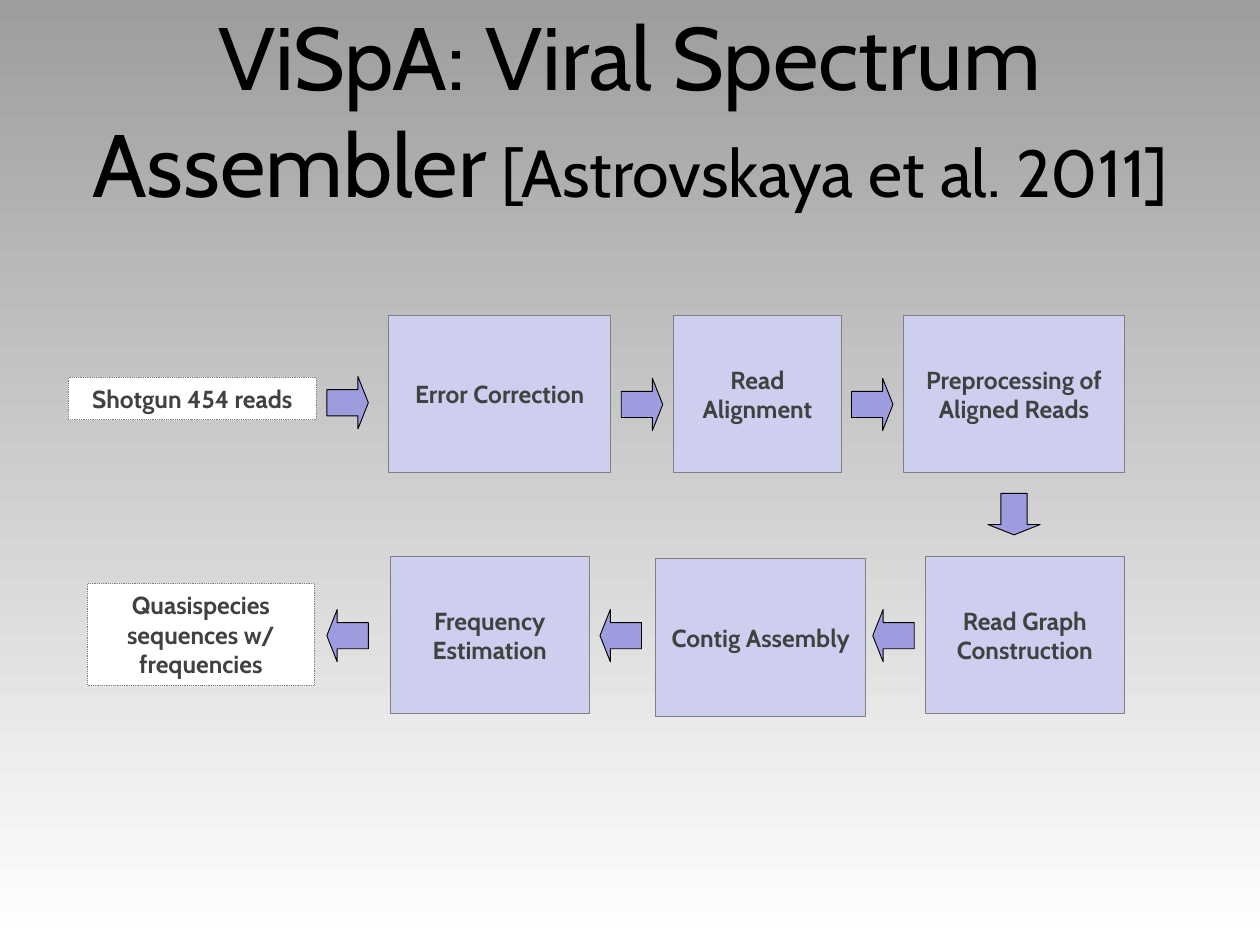
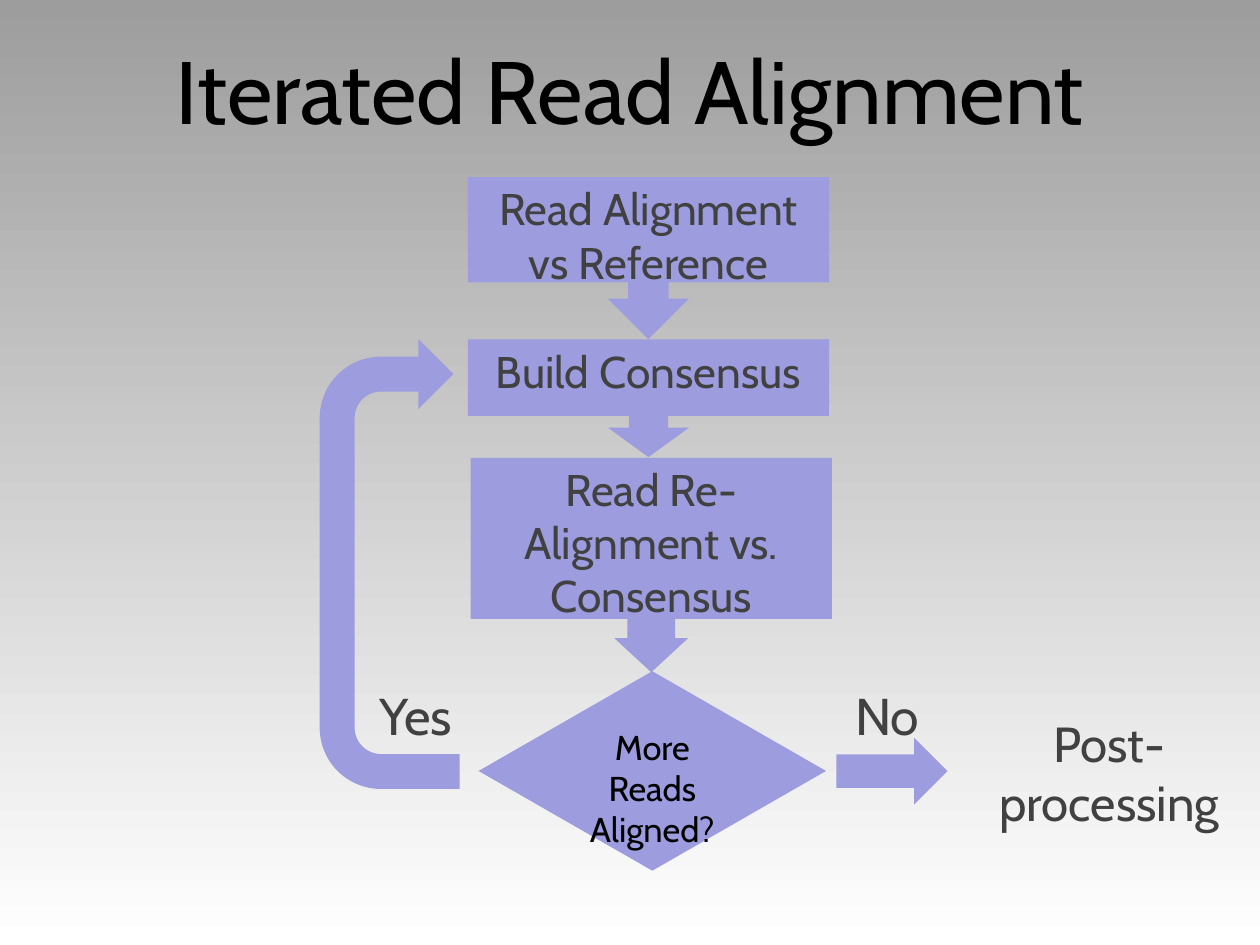
from dataclasses import dataclass

from pptx import Presentation
from pptx import util as u
from pptx.dml.color import RGBColor
from pptx.enum import dml, shapes, text

FONT = "Cabin"
COLORS = {
    "bg_top": "9D9D9D",
    "bg_bottom": "FFFFFF",
    "title": "000000",
    "text": "414141",
    "process": "CECEEF",
    "accent": "9C9CDF",
    "data": "FFFFFF",
    "border": "808080",
    "outline": "000000",
}
KIND = shapes.MSO_SHAPE
STEP_H = 4.52
ROW_1, ROW_2 = 9.04, 15.95
ARROW_LEN, ARROW_SPAN = 1.19, 1.5


@dataclass
class Box:
    """A filled shape; lengths in centimetres, text size in points."""
    left: float
    top: float
    width: float
    height: float
    text: str = ""
    kind: int = KIND.RECTANGLE
    fill: str = "accent"
    line: str = ""
    dotted: bool = False
    adj: tuple[float, ...] = ()
    rotation: float = 0
    size: float = 36
    color: str = "text"
    bold: bool = False
    middle: bool = False
    insets: tuple[float, float] = (0.25, 0.13)
    wrap: bool = True
    grow: bool = False


@dataclass
class Label:
    """Free text in a box that grows with it."""
    left: float
    top: float
    width: float
    height: float
    text: str
    size: float


def rgb(name: str) -> RGBColor:
    return RGBColor.from_string(COLORS[name])


def style(p, size: float, color: str, bold: bool = False) -> None:
    p.alignment = text.PP_ALIGN.CENTER
    p.font.name = FONT
    p.font.size = u.Pt(size)
    p.font.bold = bold
    p.font.color.rgb = rgb(color)


def set_insets(tf, side: float, end: float) -> None:
    tf.margin_left = tf.margin_right = u.Cm(side)
    tf.margin_top = tf.margin_bottom = u.Cm(end)


def set_background(prs) -> None:
    fill = prs.slide_master.background.fill
    fill.gradient()
    fill.gradient_angle = 270
    for stop, name, pos in zip(fill.gradient_stops, ("bg_top", "bg_bottom"), (0, 1)):
        stop.color.rgb = rgb(name)
        stop.position = pos


def add_slide(prs, title: str, frame: tuple[float, ...], citation: str = ""):
    s = prs.slides.add_slide(prs.slide_layouts[5])
    sp = s.shapes.title
    sp.left, sp.top, sp.width, sp.height = map(u.Cm, frame)
    tf = sp.text_frame
    tf.auto_size = text.MSO_AUTO_SIZE.NONE
    tf.vertical_anchor = text.MSO_ANCHOR.MIDDLE
    set_insets(tf, 0.15, 0.15)
    p = tf.paragraphs[0]
    p.add_run().text = title
    style(p, 72, "title")
    if citation:
        r = p.add_run()
        r.text = f" {citation}"
        r.font.size = u.Pt(54)
    return s


def add_box(s, b: Box) -> None:
    sp = s.shapes.add_shape(b.kind, *map(u.Cm, (b.left, b.top, b.width, b.height)))
    sp.shadow.inherit = False
    sp.rotation = b.rotation
    for i, value in enumerate(b.adj):
        sp.adjustments[i] = value
    sp.fill.solid()
    sp.fill.fore_color.rgb = rgb(b.fill)
    if b.line:
        sp.line.color.rgb = rgb(b.line)
        sp.line.width = u.Pt(0.75)
        if b.dotted:
            sp.line.dash_style = dml.MSO_LINE.ROUND_DOT
    else:
        sp.line.fill.background()
    if b.text:
        tf = sp.text_frame
        tf.text = b.text
        tf.word_wrap = b.wrap
        if b.grow:
            tf.auto_size = text.MSO_AUTO_SIZE.SHAPE_TO_FIT_TEXT
        tf.vertical_anchor = text.MSO_ANCHOR.MIDDLE if b.middle else text.MSO_ANCHOR.TOP
        set_insets(tf, *b.insets)
        style(tf.paragraphs[0], b.size, b.color, b.bold)


def add_label(s, label: Label) -> None:
    sp = s.shapes.add_textbox(
        *map(u.Cm, (label.left, label.top, label.width, label.height)))
    tf = sp.text_frame
    tf.text = label.text
    tf.word_wrap = False
    tf.auto_size = text.MSO_AUTO_SIZE.SHAPE_TO_FIT_TEXT
    for p in tf.paragraphs:
        style(p, label.size, "text")


def step(left: float, top: float, width: float, caption: str, wrap: bool = True) -> Box:
    return Box(left, top, width, STEP_H, caption, fill="process", line="border",
               size=20, bold=True, middle=True, insets=(0.36, 0.18), wrap=wrap)


def data(left: float, top: float, width: float, height: float, caption: str,
         wrap: bool = True) -> Box:
    return Box(left, top, width, height, caption, fill="data", line="border",
               dotted=True, size=20, bold=True, insets=(0.36, 0.18), wrap=wrap, grow=True)


def flow_arrow(left: float, top: float, kind: int) -> Box:
    w, h = ARROW_LEN, ARROW_SPAN
    if kind == KIND.DOWN_ARROW:
        w, h = h, w
    return Box(left, top, w, h, kind=kind, line="outline", adj=(0.5, 0.25))


def callout(left: float, top: float, height: float, caption: str,
            adj: tuple[float, ...] = ()) -> Box:
    return Box(left, top, 10.36, height, caption, KIND.DOWN_ARROW_CALLOUT, adj=adj)


# Pipeline: left to right on the first row, back on the second
PIPELINE = [
    step(11.15, ROW_1, 6.35, "Error Correction", wrap=False),
    step(19.3, ROW_1, 4.83, "Read Alignment"),
    step(25.91, ROW_1, 6.32, "Preprocessing of Aligned Reads"),
    step(26.52, ROW_2, 5.72, "Read Graph Construction"),
    step(18.8, 16.03, 6.02, "Contig Assembly", wrap=False),
    step(11.18, ROW_2, 5.72, "Frequency Estimation"),
    data(1.96, 10.82, 7.11, 1.22, "Shotgun 454 reads", wrap=False),
    data(2.51, 16.74, 6.5, 2.92, "Quasispecies sequences w/ frequencies"),
    flow_arrow(9.37, 10.8, KIND.RIGHT_ARROW),
    *(flow_arrow(x, 10.85, KIND.RIGHT_ARROW) for x in (17.81, 24.41)),
    flow_arrow(28.32, 14.15, KIND.DOWN_ARROW),
    *(flow_arrow(x, 17.48, KIND.LEFT_ARROW) for x in (25.02, 17.2, 9.37)),
]

# Iteration: callouts down to the decision, with a loop back
ITERATION = [
    callout(13.41, 5.08, 4.65, "Read Alignment vs Reference"),
    callout(13.41, 9.73, 3.38, "Build Consensus", (0.333, 0.344, 0.25, 0.65)),
    callout(13.49, 13.13, 6.15, "Read Re-Alignment vs. Consensus",
            (0.223, 0.172, 0.159, 0.751)),
    Box(13.72, 19.25, 9.96, 5.72, "More Reads Aligned?", KIND.FLOWCHART_DECISION,
        size=28, color="title"),
    Box(4.72, 14.17, 12.9, 4.01, kind=KIND.U_TURN_ARROW, rotation=270,
        adj=(0.25, 0.25, 0.25, 0.438, 0.956)),
    Box(23.98, 21.16, 3.18, 1.91, kind=KIND.RIGHT_ARROW),
]
OUTCOMES = [
    Label(24.21, 19.48, 2.44, 2.06, "No", 42),
    Label(10.44, 19.48, 2.95, 2.06, "Yes", 42),
    Label(28.09, 20.32, 7.42, 3.68, "Post-\nprocessing", 40),
]


def main() -> None:
    prs = Presentation()
    prs.slide_width, prs.slide_height = u.Cm(36.12), u.Cm(27.1)
    set_background(prs)

    s = add_slide(prs, "ViSpA: Viral Spectrum Assembler", (0.99, 0.71, 34.14, 4.8),
                  "[Astrovskaya et al. 2011]")
    for b in PIPELINE:
        add_box(s, b)

    s = add_slide(prs, "Iterated Read Alignment", (0.91, 1.07, 34.29, 2.97))
    for b in ITERATION:
        add_box(s, b)
    for label in OUTCOMES:
        add_label(s, label)

    prs.save("out.pptx")


if __name__ == "__main__":
    main()
